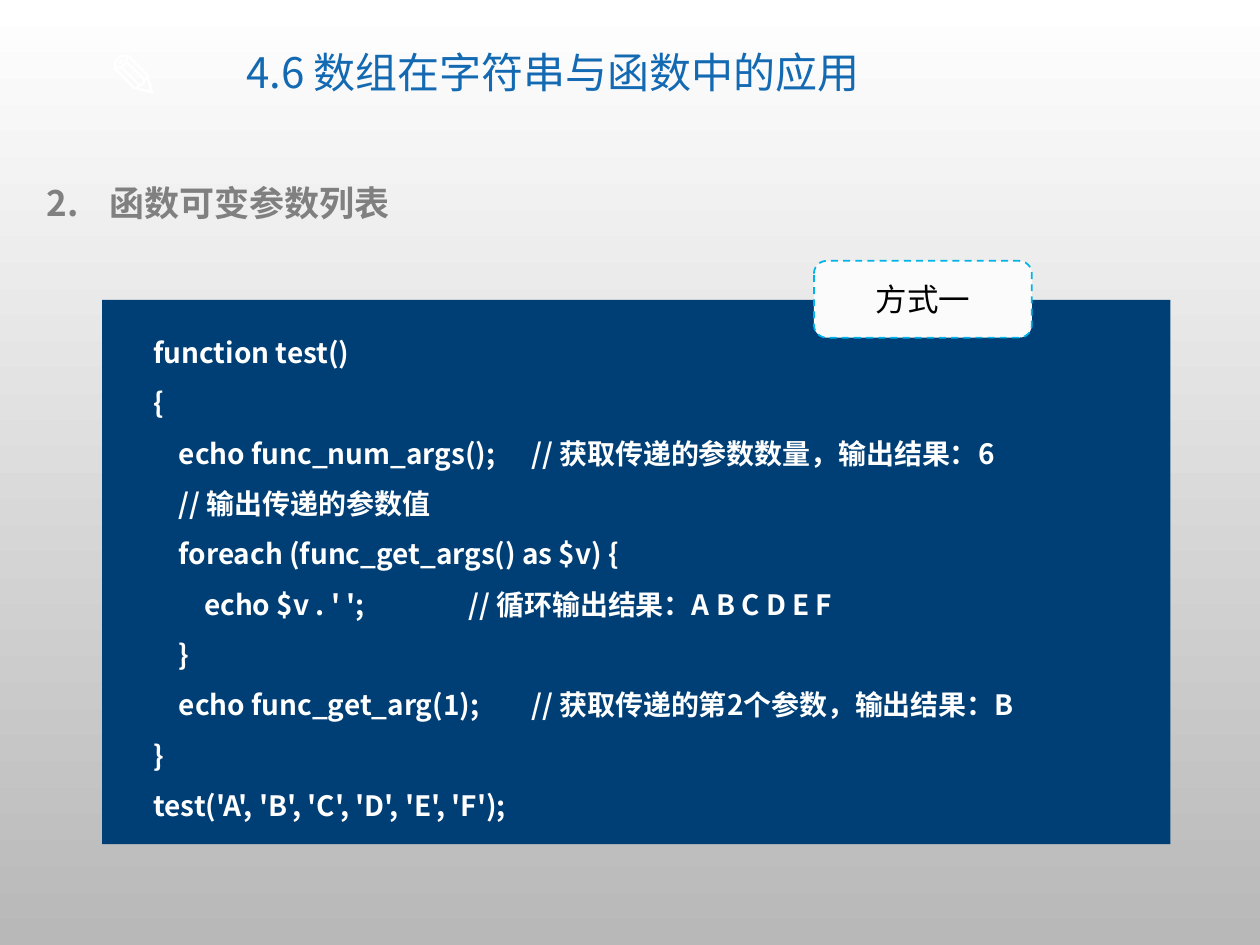
from pptx import Presentation
from pptx import util as u
from pptx.dml.color import RGBColor
from pptx.enum import dml, shapes, text
from pptx.oxml.ns import qn
from lxml import etree

Inches = u.Inches
COLORS = {
    "title": "1369B2", "heading": "808080", "panel": "003F75", "white": "FFFFFF",
    "background_end": "B8B8B8", "label_fill": "FBFBFB", "label_line": "00B4E9", "black": "000000",
}
CJK_FONT = "Noto Sans CJK SC"
CODE = """function test()
{
    echo func_num_args();\t// 获取传递的参数数量，输出结果：6
    // 输出传递的参数值
    foreach (func_get_args() as $v) {
        echo $v . ' '; \t\t// 循环输出结果：A B C D E F
    }
    echo func_get_arg(1);\t// 获取传递的第2个参数，输出结果：B
}
test('A', 'B', 'C', 'D', 'E', 'F');"""


def format_runs(shape, size, color, bold=False, font=CJK_FONT):
    for paragraph in shape.text_frame.paragraphs:
        for run in paragraph.runs:
            run.font.size = u.Pt(size)
            run.font.bold = bold
            run.font.name = font
            run.font.color.rgb = RGBColor.from_string(COLORS[color])
            east_asian = etree.SubElement(run.font._element, qn("a:ea"))
            east_asian.set("typeface", CJK_FONT)


def place(shape, left, top, width, height):
    shape.left, shape.top = Inches(left), Inches(top)
    shape.width, shape.height = Inches(width), Inches(height)


presentation = Presentation()
presentation.slide_width, presentation.slide_height = Inches(10), Inches(7.5)
slide = presentation.slides.add_slide(presentation.slide_layouts[1])

# Background gradient, from top to bottom
background = slide.background.fill
background.gradient()
background.gradient_angle = 270
for stop, position, color in zip(background.gradient_stops, (0, 1), ("white", "background_end")):
    stop.position = position
    stop.color.rgb = RGBColor.from_string(COLORS[color])

# Pencil mark
pencil = slide.shapes.add_textbox(Inches(0.76), Inches(0.24), Inches(0.86), Inches(0.71))
pencil.text_frame.text = "✎"
format_runs(pencil, 36, "white", bold=True)

# Title
title = slide.shapes.title
place(title, 1.81, 0.17, 5.16, 0.85)
title.text_frame.text = "4.6 数组在字符串与函数中的应用"
title.text_frame.vertical_anchor = text.MSO_ANCHOR.MIDDLE
title.text_frame.paragraphs[0].alignment = text.PP_ALIGN.CENTER
title.text_frame.paragraphs[0].line_spacing = 0.9
format_runs(title, 24, "title")

# Numbered heading
heading = slide.placeholders[1]
place(heading, 0.27, 1.39, 9.22, 0.44)
heading.text_frame.text = "函数可变参数列表"
heading.text_frame.auto_size = text.MSO_AUTO_SIZE.NONE
paragraph = heading.text_frame.paragraphs[0]
paragraph.space_before = u.Pt(0)
properties = paragraph._p.get_or_add_pPr()
properties.set("marL", str(Inches(0.5)))
properties.set("indent", str(-Inches(0.5)))
bullet_font = etree.SubElement(properties, qn("a:buFont"))
bullet_font.set("typeface", CJK_FONT)
number = etree.SubElement(properties, qn("a:buAutoNum"))
number.set("type", "arabicPeriod")
number.set("startAt", "2")
format_runs(heading, 20, "heading", bold=True)

# Code panel
panel = slide.shapes.add_shape(
    shapes.MSO_SHAPE.RECTANGLE, Inches(0.81), Inches(2.38), Inches(8.48), Inches(4.32))
panel.shadow.inherit = False
panel.fill.solid()
panel.fill.fore_color.rgb = RGBColor.from_string(COLORS["panel"])
panel.line.fill.background()

# Code, with tab stops that line up the comments
code = slide.shapes.add_textbox(Inches(1.12), Inches(2.48), Inches(8.17), Inches(4.09))
code.text_frame.word_wrap = True
code.text_frame.text = CODE
for paragraph in code.text_frame.paragraphs:
    paragraph.line_spacing = 1.5
    tab_list = etree.SubElement(paragraph._p.get_or_add_pPr(), qn("a:tabLst"))
    for position in (2, 2.5, 3):
        tab = etree.SubElement(tab_list, qn("a:tab"))
        tab.set("pos", str(Inches(position)))
        tab.set("algn", "l")
format_runs(code, 16, "white", bold=True)

# Label on the panel's upper edge
label = slide.shapes.add_shape(
    shapes.MSO_SHAPE.ROUNDED_RECTANGLE, Inches(6.46), Inches(2.07), Inches(1.73), Inches(0.61))
label.shadow.inherit = False
label.fill.solid()
label.fill.fore_color.rgb = RGBColor.from_string(COLORS["label_fill"])
label.line.color.rgb = RGBColor.from_string(COLORS["label_line"])
label.line.width = u.Pt(1)
label.line.dash_style = dml.MSO_LINE.DASH
label.text_frame.text = "方式一"
label.text_frame.vertical_anchor = text.MSO_ANCHOR.MIDDLE
label.text_frame.paragraphs[0].alignment = text.PP_ALIGN.CENTER
format_runs(label, 18, "black", font="Calibri")

presentation.save("out.pptx")
